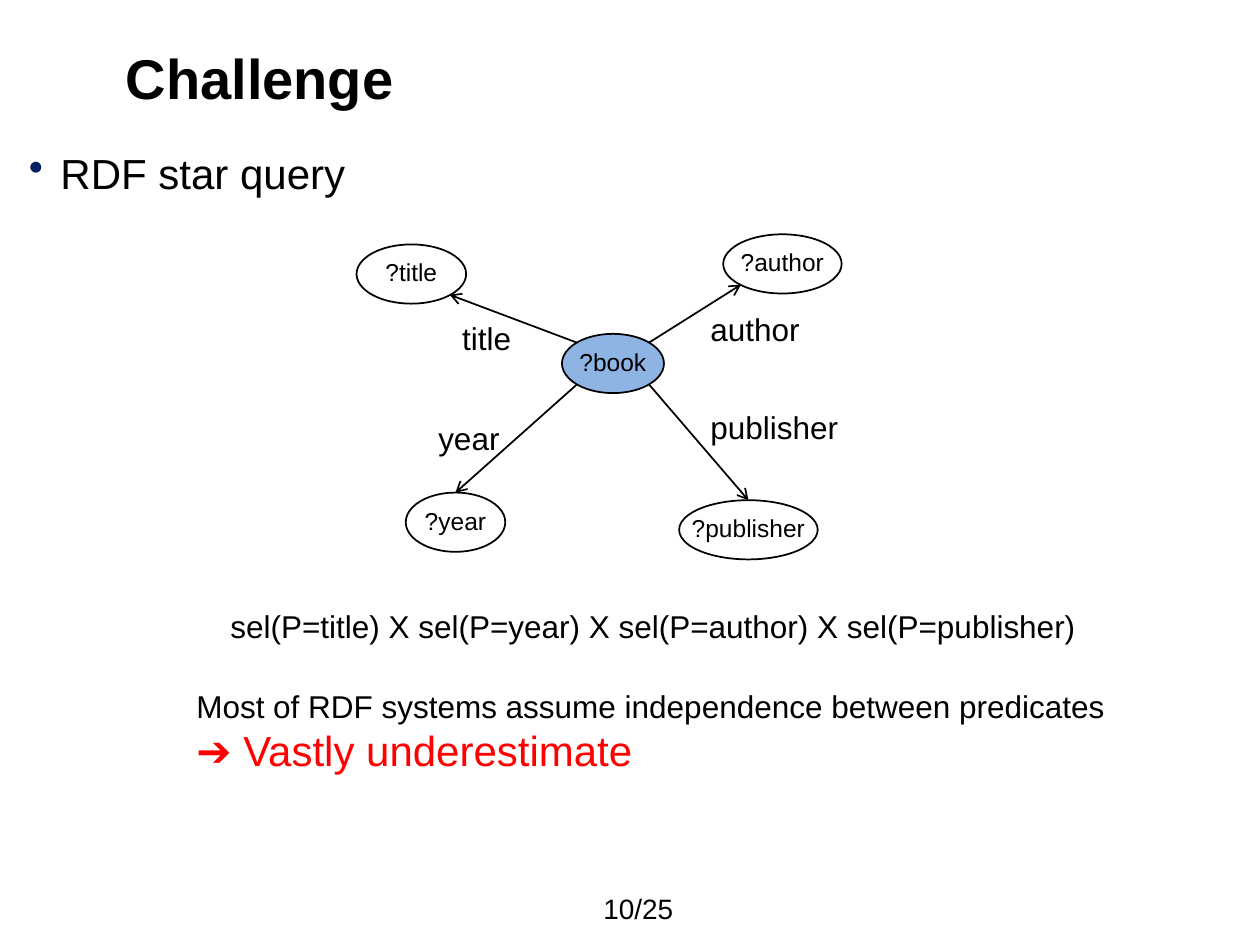
import pptx
import pptx.dml.color
import pptx.enum.shapes
import pptx.enum.text
import pptx.oxml.ns
import pptx.util
from lxml import etree
from pptx.util import Inches

BLACK = pptx.dml.color.RGBColor(0x00, 0x00, 0x00)
RED = pptx.dml.color.RGBColor(0xFF, 0x00, 0x00)
BLUE = pptx.dml.color.RGBColor(0x8E, 0xB4, 0xE3)
NAVY = pptx.dml.color.RGBColor(0x00, 0x20, 0x60)
MIDDLE = pptx.enum.text.MSO_ANCHOR.MIDDLE
qn = pptx.oxml.ns.qn


def add_run(paragraph, text, size, color=BLACK, bold=False):
    run = paragraph.add_run()
    run.text = text
    run.font.name = "Arial"
    run.font.size = pptx.util.Pt(size)
    run.font.bold = bold
    run.font.color.rgb = color


def add_text(left, top, width, height, text, size, wrap=False, bold=False, anchor=None):
    box = slide.shapes.add_textbox(Inches(left), Inches(top), Inches(width), Inches(height))
    frame = box.text_frame
    frame.word_wrap = wrap
    if anchor is not None:
        frame.vertical_anchor = anchor
    if not wrap:
        frame.auto_size = pptx.enum.text.MSO_AUTO_SIZE.SHAPE_TO_FIT_TEXT
    add_run(frame.paragraphs[0], text, size, bold=bold)
    return frame


presentation = pptx.Presentation()
presentation.slide_width = Inches(10)
presentation.slide_height = Inches(7.5)
slide = presentation.slides.add_slide(presentation.slide_layouts[6])

add_text(0.9, 0.29, 8.29, 0.64, "Challenge", 32, wrap=True, bold=True, anchor=MIDDLE)

body = add_text(0.23, 1.17, 9.53, 5.47, "RDF star query", 24, wrap=True)
body.margin_left = body.margin_top = body.margin_right = body.margin_bottom = 0
properties = body.paragraphs[0]._p.get_or_add_pPr()
properties.set("marL", str(Inches(0.25)))
properties.set("indent", str(Inches(-0.25)))
bullet_color = etree.SubElement(properties, qn("a:buClr"))
etree.SubElement(bullet_color, qn("a:srgbClr"), val=str(NAVY))
etree.SubElement(properties, qn("a:buChar"), char="•")

nodes = {}
for name, left, top, width in [
    ("book", 4.46, 2.65, 0.81),
    ("title", 2.83, 1.94, 0.87),
    ("year", 3.22, 3.91, 0.79),
    ("publisher", 5.39, 3.97, 1.1),
    ("author", 5.74, 1.86, 0.94),
]:
    node = slide.shapes.add_shape(
        pptx.enum.shapes.MSO_SHAPE.OVAL, Inches(left), Inches(top), Inches(width), Inches(0.47)
    )
    node.shadow.inherit = False
    if name == "book":
        node.fill.solid()
        node.fill.fore_color.rgb = BLUE
    else:
        node.fill.background()
    node.line.color.rgb = BLACK
    node.line.width = pptx.util.Pt(1)
    node.text_frame.word_wrap = False
    node.text_frame.vertical_anchor = MIDDLE
    paragraph = node.text_frame.paragraphs[0]
    paragraph.alignment = pptx.enum.text.PP_ALIGN.CENTER
    paragraph.line_spacing = 0.9
    add_run(paragraph, "?" + name, 14)
    nodes[name] = node

for name, start_x, start_y, end_x, end_y in [
    ("title", 4.58, 2.72, 3.57, 2.34),
    ("year", 4.58, 3.05, 3.62, 3.91),
    ("publisher", 5.15, 3.05, 5.94, 3.97),
    ("author", 5.15, 2.72, 5.88, 2.26),
]:
    arrow = slide.shapes.add_connector(
        pptx.enum.shapes.MSO_CONNECTOR.STRAIGHT,
        Inches(start_x), Inches(start_y), Inches(end_x), Inches(end_y),
    )
    if name in ("year", "publisher"):
        arrow.end_connect(nodes[name], 0)
    arrow.line.color.rgb = BLACK
    arrow.line.width = pptx.util.Pt(1)
    etree.SubElement(arrow.line._get_or_add_ln(), qn("a:tailEnd"), type="arrow")
    etree.SubElement(arrow._element.spPr, qn("a:effectLst"))

for name, left, top, width in [
    ("title", 3.57, 2.48, 0.59),
    ("year", 3.38, 3.28, 0.69),
    ("publisher", 5.54, 3.19, 1.23),
    ("author", 5.54, 2.41, 0.92),
]:
    add_text(left, top, width, 0.4, name, 18)

selectivity = " X ".join(f"sel(P={name})" for name in ("title", "year", "author", "publisher"))
add_text(1.73, 4.77, 6.98, 0.4, selectivity, 18)

conclusion = add_text(
    1.46, 5.4, 7.48, 0.81, "Most of RDF systems assume independence between predicates", 18
)
add_run(conclusion.add_paragraph(), "➔ Vastly underestimate", 24, RED)

add_text(4.69, 7.06, 0.86, 0.29, "10/25", 16, wrap=True, anchor=MIDDLE)

presentation.save("out.pptx")
